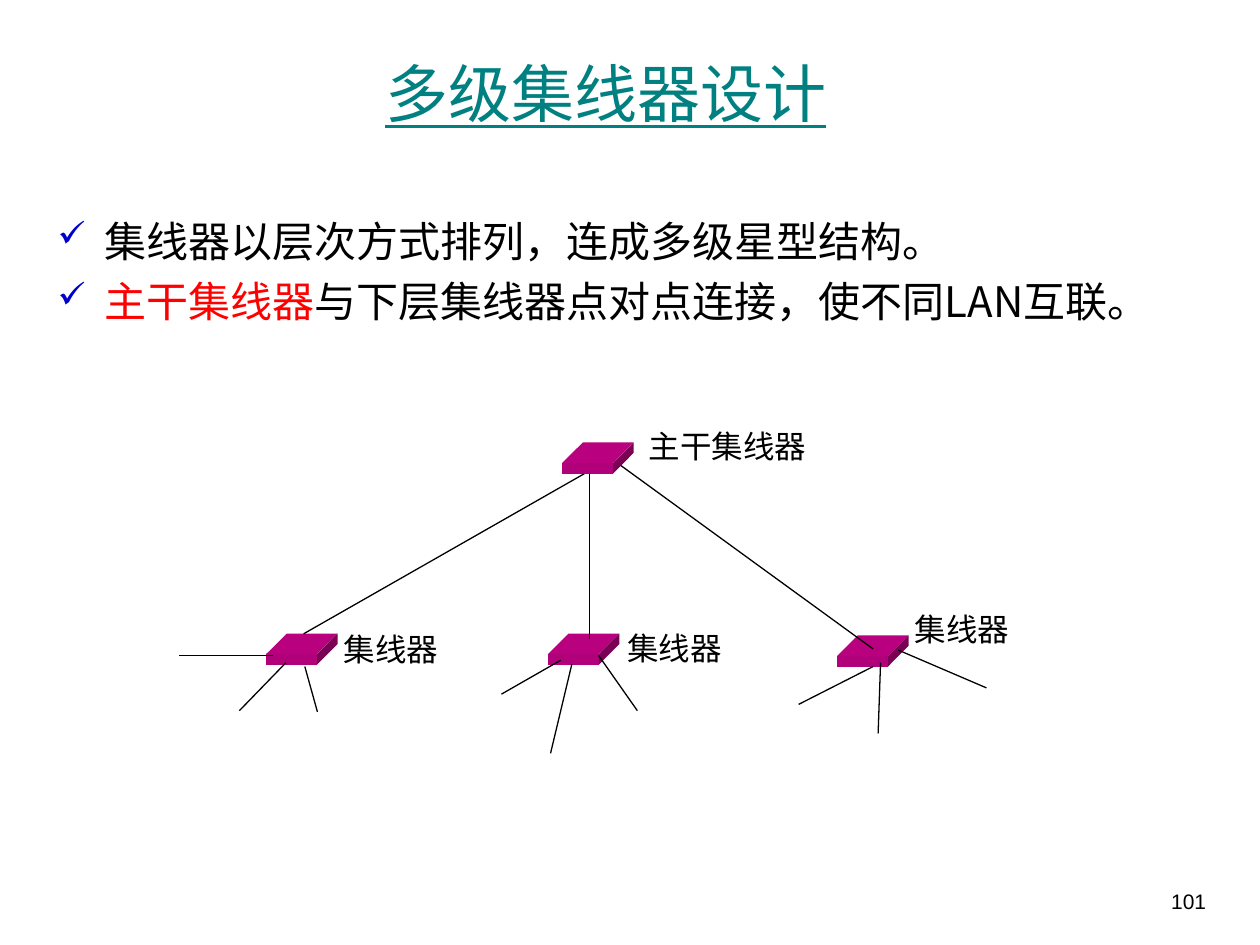
from dataclasses import dataclass

from lxml.etree import SubElement
from pptx import Presentation
from pptx.dml.color import RGBColor
from pptx.enum.shapes import MSO_CONNECTOR
from pptx.enum.text import MSO_ANCHOR, PP_ALIGN
from pptx.oxml.ns import qn
from pptx.util import Pt


@dataclass(frozen=True)
class Theme:
    title_color: str = "008080"
    text_color: str = "000000"
    accent_color: str = "FF0000"
    bullet_color: str = "0000CC"
    hub_top: str = "B9007F"
    hub_front: str = "B0007A"
    hub_side: str = "7A0054"
    title_size: float = 36
    body_size: float = 24
    label_size: float = 18
    number_size: float = 12
    east_asian_font: str = "Noto Sans CJK SC"
    title_font: str = "Times New Roman"
    label_font: str = "Comic Neue"
    number_font: str = "Arial"


THEME = Theme()
HUB_WIDTH, HUB_HEIGHT, HUB_DEPTH = 29, 6, 12


def format_run(run, size, font_name, color):
    run.font.size = Pt(size)
    run.font.color.rgb = RGBColor.from_string(color)
    run.font.name = font_name
    east_asian = SubElement(run.font._element, qn("a:ea"))
    east_asian.set("typeface", THEME.east_asian_font)


def add_text(slide, box, text, size, font_name, color, align=PP_ALIGN.LEFT, wrap=True):
    shape = slide.shapes.add_textbox(*map(Pt, box))
    frame = shape.text_frame
    frame.text = text
    frame.word_wrap = wrap
    paragraph = frame.paragraphs[0]
    paragraph.alignment = align
    format_run(paragraph.runs[0], size, font_name, color)
    return shape


def add_title(slide, box, text):
    shape = add_text(slide, box, text, THEME.title_size, THEME.title_font,
                     THEME.title_color, PP_ALIGN.CENTER)
    shape.text_frame.vertical_anchor = MSO_ANCHOR.MIDDLE
    shape.text_frame.paragraphs[0].runs[0].font.underline = True


def add_check_bullet(paragraph):
    properties = paragraph._p.get_or_add_pPr()
    properties.set("marL", str(Pt(27)))
    properties.set("indent", str(Pt(-27)))
    color = SubElement(properties, qn("a:buClr"))
    SubElement(color, qn("a:srgbClr")).set("val", THEME.bullet_color)
    SubElement(properties, qn("a:buSzPct")).set("val", "85000")
    SubElement(properties, qn("a:buChar")).set("char", "✓")


def add_bullets(slide, box, items):
    """Each item is a list of (text, color) runs."""
    frame = slide.shapes.add_textbox(*map(Pt, box)).text_frame
    frame.word_wrap = True
    frame.margin_top = Pt(6.5)
    for index, item in enumerate(items):
        paragraph = frame.add_paragraph() if index else frame.paragraphs[0]
        add_check_bullet(paragraph)
        paragraph.line_spacing = Pt(30)
        paragraph.space_before = Pt(4.8 if index else 0)
        for text, color in item:
            run = paragraph.add_run()
            run.text = text
            format_run(run, THEME.body_size, THEME.east_asian_font, color)


def add_face(slide, points, color):
    (left, top), *others = [(Pt(x), Pt(y)) for x, y in points]
    builder = slide.shapes.build_freeform(left, top)
    builder.add_line_segments(others, close=True)
    face = builder.convert_to_shape()
    face.shadow.inherit = False
    face.fill.solid()
    face.fill.fore_color.rgb = RGBColor.from_string(color)
    face.line.fill.background()


def add_hub(slide, left, top):
    """Draw a flat box whose front face starts at left, top."""
    right, bottom = left + HUB_WIDTH, top + HUB_HEIGHT
    back_left, back_right = left + HUB_DEPTH, right + HUB_DEPTH
    back_top, back_bottom = top - HUB_DEPTH, bottom - HUB_DEPTH
    add_face(slide, [(left, top), (back_left, back_top), (back_right, back_top),
                     (right, top)], THEME.hub_top)
    add_face(slide, [(right, top), (back_right, back_top), (back_right, back_bottom),
                     (right, bottom)], THEME.hub_side)
    add_face(slide, [(left, top), (right, top), (right, bottom), (left, bottom)],
             THEME.hub_front)


def add_link(slide, start, end):
    link = slide.shapes.add_connector(MSO_CONNECTOR.STRAIGHT, *map(Pt, (*start, *end)))
    link.line.color.rgb = RGBColor.from_string(THEME.text_color)
    link.line.width = Pt(0.75)
    SubElement(link._element.spPr, qn("a:effectLst"))


def add_label(slide, box, text, wrap):
    add_text(slide, box, text, THEME.label_size, THEME.label_font,
             THEME.text_color, wrap=wrap)


def add_hub_tree(slide, box):
    left, top, width, height = box

    def at(x, y):
        return left + x, top + y

    # Hub corner, label box, and links to stations, relative to the tree
    branches = [
        ((49.7, 133.5), (87.2, 116, 70.6, 28.8), True,
         [((54, 134), (0, 134)), ((61.2, 138.2), (34.6, 165.6)),
          ((72, 140.4), (79.2, 166.3))]),
        ((210.8, 133.5), (249.2, 115.2, 68.4, 28.8), False,
         [((218.2, 136.8), (184.3, 156.2)), ((224.6, 139), (212.4, 190)),
          ((239.8, 134), (262, 165.6))]),
        ((376, 134.6), (413.3, 104.4, 68.4, 28.8), False,
         [((396.7, 140.4), (354.2, 162)), ((401, 138.2), (399.6, 178.6)),
          ((411.1, 131), (461.5, 152.6))]),
    ]
    trunks = [((235.4, 28.1), (71.3, 121.7)), ((234.7, 27.4), (234.7, 124.6)),
              ((249.1, 23), (396.7, 130.3))]

    for corner, _, _, _ in branches:
        add_hub(slide, *at(*corner))
    for _, _, _, station_links in branches:
        for start, end in station_links:
            add_link(slide, at(*start), at(*end))
    for start, end in trunks:
        add_link(slide, at(*start), at(*end))
    for _, (x, y, label_width, label_height), wrap, _ in branches:
        add_label(slide, (*at(x, y), label_width, label_height), "集线器", wrap)
    add_label(slide, (*at(261.4, 0), 132.5, 28.8), "主干集线器", True)
    add_hub(slide, *at(218.9, 24.3))


def main():
    presentation = Presentation()
    presentation.slide_width, presentation.slide_height = Pt(720), Pt(540)
    slide = presentation.slides.add_slide(presentation.slide_layouts[6])
    add_text(slide, (643, 504, 53.3, 36), "101", THEME.number_size,
             THEME.number_font, THEME.text_color, PP_ALIGN.RIGHT)
    add_title(slide, (40.3, 15.1, 612, 74.9), "多级集线器设计")
    add_bullets(slide, (25.9, 115.2, 660.2, 100), [
        [("集线器以层次方式排列，连成多级星型结构。", THEME.text_color)],
        [("主干集线器", THEME.accent_color),
         ("与下层集线器点对点连接，使不同LAN互联。", THEME.text_color)],
    ])
    add_hub_tree(slide, (102.2, 240.5, 461.5, 190))
    presentation.save("out.pptx")


if __name__ == "__main__":
    main()
